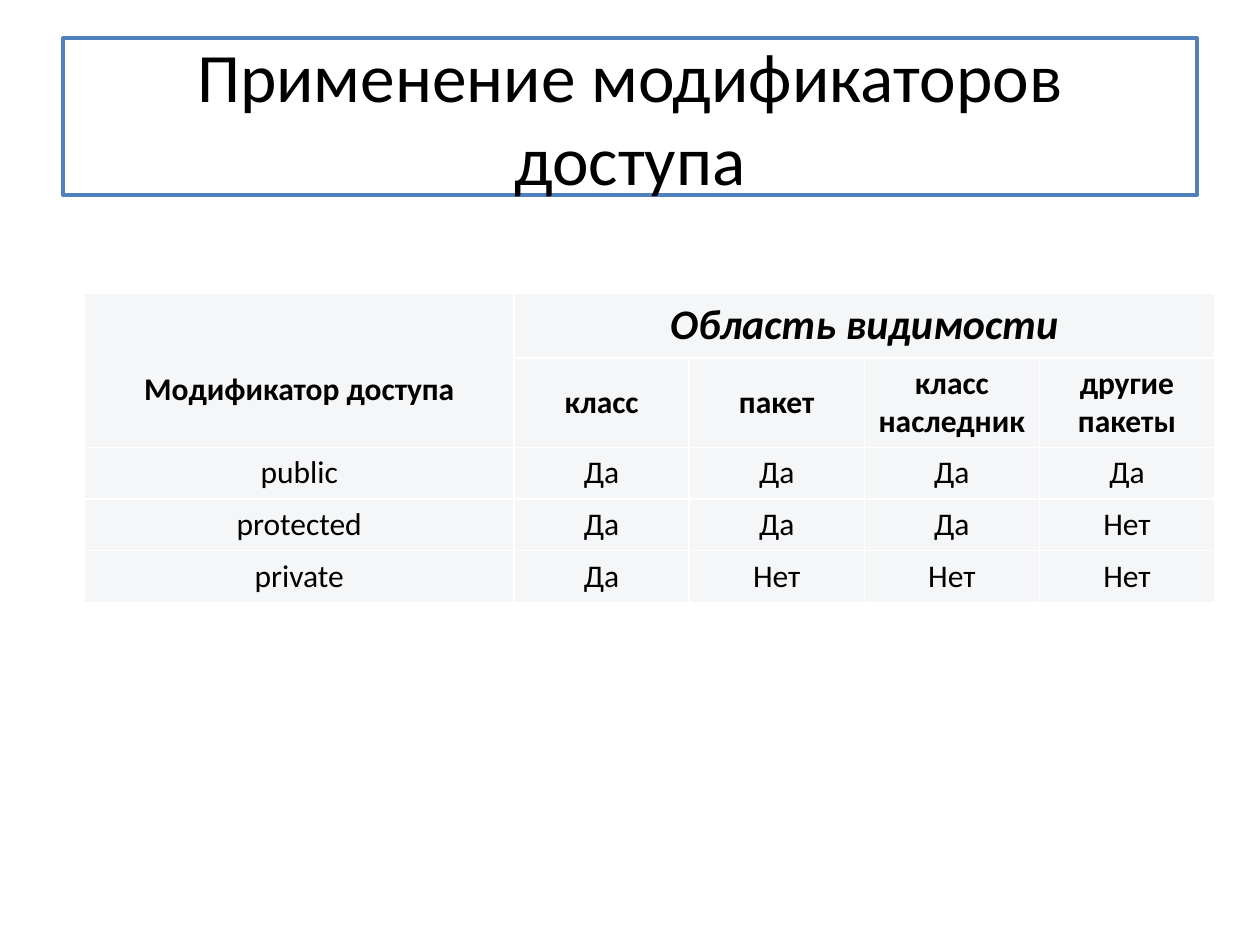
from pptx import Presentation
from pptx.dml.color import RGBColor
from pptx.enum.shapes import MSO_SHAPE
from pptx.enum.text import MSO_ANCHOR, PP_ALIGN
from pptx.util import Inches, Pt

RECT = MSO_SHAPE.RECTANGLE
MIDDLE = MSO_ANCHOR.MIDDLE
CENTER = PP_ALIGN.CENTER
BLACK = RGBColor(0x00, 0x00, 0x00)
WHITE = RGBColor(0xFF, 0xFF, 0xFF)
BLUE = RGBColor(0x4F, 0x81, 0xBD)
PALE = RGBColor(0xF5, 0xF6, 0xF7)
FONT = "Calibri"

# Content
TITLE = "Применение модификаторов доступа"
ROWS = [
    ("Модификатор доступа", "Область видимости", "", "", ""),
    ("", "класс", "пакет", "класс наследник", "другие пакеты"),
    ("public", "Да", "Да", "Да", "Да"),
    ("protected", "Да", "Да", "Да", "Нет"),
    ("private", "Да", "Нет", "Нет", "Нет"),
]
WIDTHS = [3.41] + [1.39] * 4
HEIGHTS = [0.51, 0.7] + [0.41] * 3
HEADS = 2


def style(frame, size, bold=False, italic=False):
    for para in frame.paragraphs:
        para.alignment = CENTER
        for run in para.runs:
            font = run.font
            font.name = FONT
            font.size = Pt(size)
            font.bold = bold
            font.italic = italic
            font.color.rgb = BLACK


deck = Presentation()
deck.slide_width, deck.slide_height = Inches(10), Inches(7.5)
slide = deck.slides.add_slide(deck.slide_layouts[6])

# Title box
box = slide.shapes.add_shape(RECT, Inches(0.5), Inches(0.3), Inches(9), Inches(1.25))
box.shadow.inherit = False
box.fill.solid()
box.fill.fore_color.rgb = WHITE
box.line.color.rgb = BLUE
box.line.width = Pt(2)
frame = box.text_frame
frame.word_wrap = True
frame.vertical_anchor = MIDDLE
frame.text = TITLE
style(frame, 39.6)

# Access table
table = slide.shapes.add_table(
    len(ROWS), len(WIDTHS), Inches(0.67), Inches(2.33),
    Inches(sum(WIDTHS)), Inches(sum(HEIGHTS))).table
for col, width in zip(table.columns, WIDTHS):
    col.width = Inches(width)
for row, height in zip(table.rows, HEIGHTS):
    row.height = Inches(height)

for r, texts in enumerate(ROWS):
    for c, text in enumerate(texts):
        cell = table.cell(r, c)
        cell.fill.solid()
        cell.fill.fore_color.rgb = PALE
        cell.vertical_anchor = MIDDLE
        cell.text = text
        scope = r == 0 and c > 0
        style(cell.text_frame, 24 if scope else 18, bold=r < HEADS, italic=scope)

# Merged headings; the first sits a little below the middle
corner = table.cell(0, 0)
corner.merge(table.cell(1, 0))
corner.margin_top = Inches(0.35)
table.cell(0, 1).merge(table.cell(0, len(WIDTHS) - 1))

deck.save("out.pptx")
